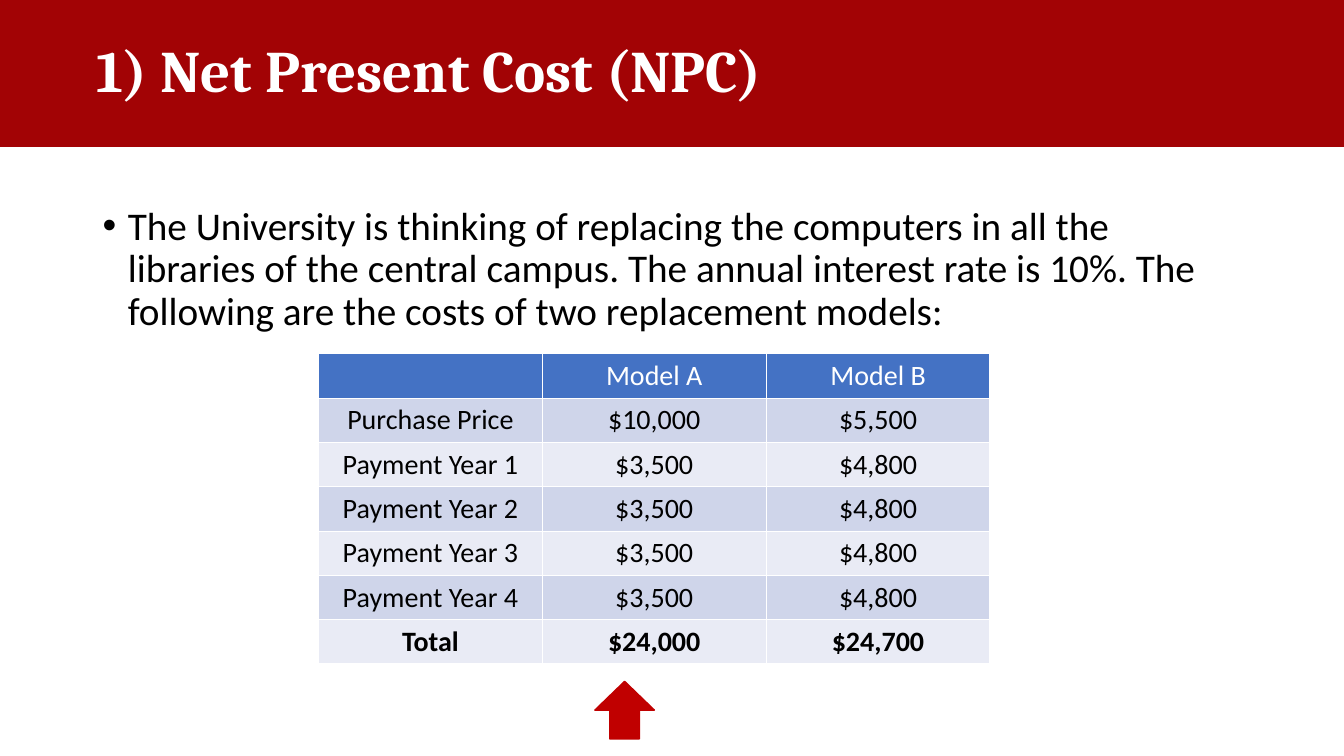
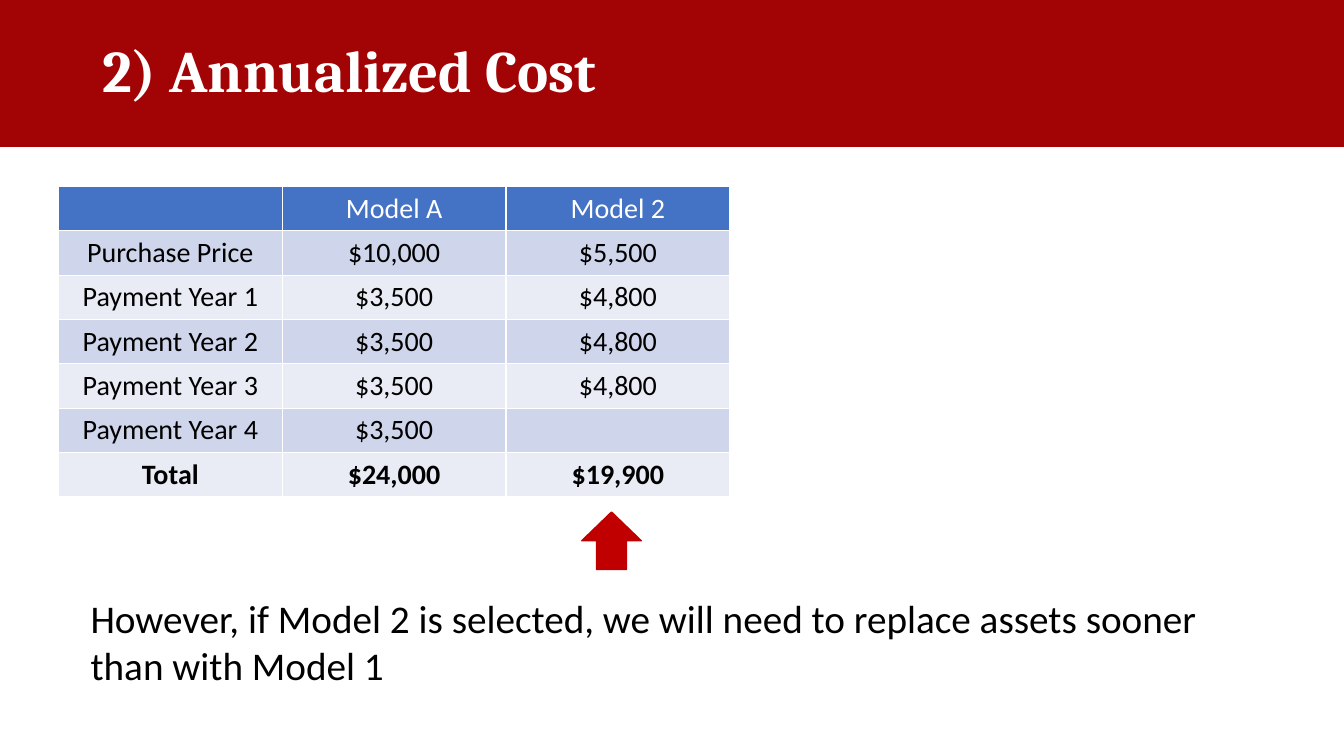
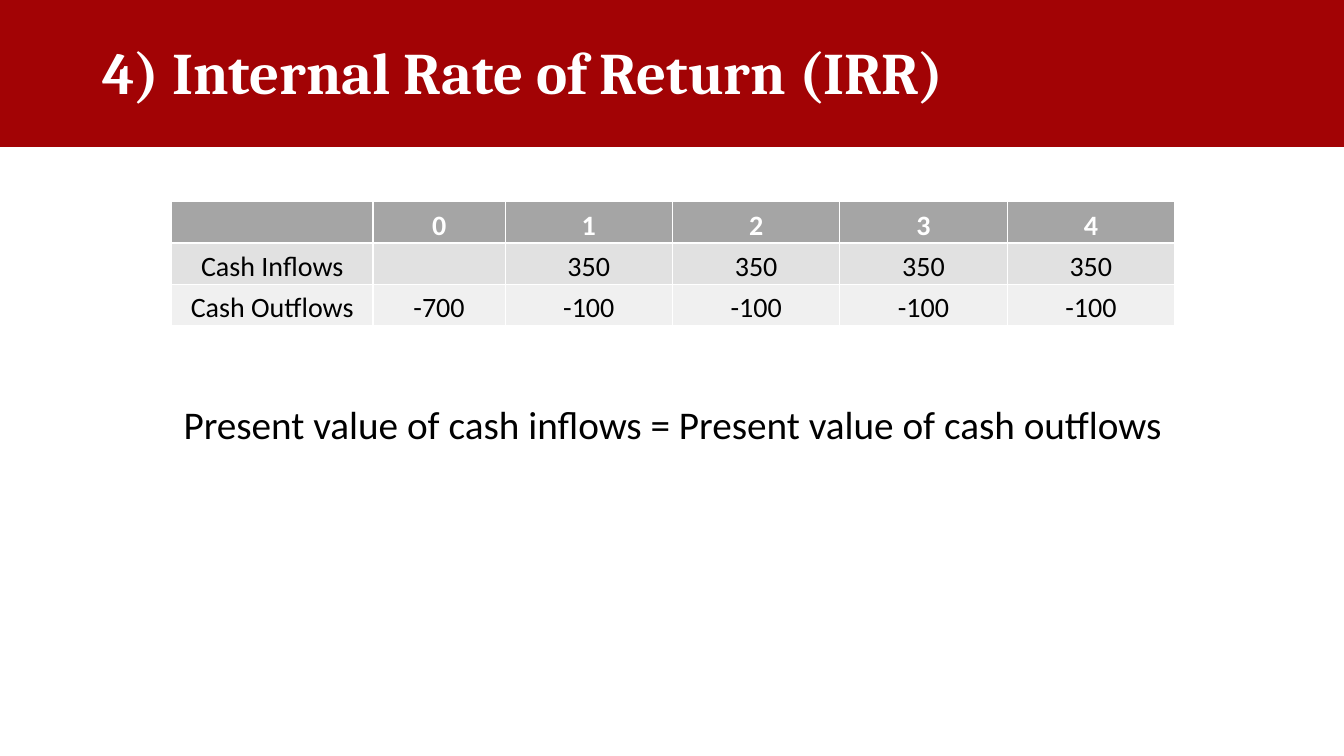
from dataclasses import dataclass, field
from typing import Any, NamedTuple

from lxml import etree
from pptx import Presentation
from pptx.dml.color import RGBColor
from pptx.enum.shapes import MSO_SHAPE
from pptx.enum.text import MSO_ANCHOR, PP_ALIGN
from pptx.oxml.ns import qn
from pptx.slide import Slide
from pptx.util import Inches, Pt

RECTANGLE, UP_ARROW = MSO_SHAPE.RECTANGLE, MSO_SHAPE.UP_ARROW
TOP, MIDDLE, BOTTOM = MSO_ANCHOR.TOP, MSO_ANCHOR.MIDDLE, MSO_ANCHOR.BOTTOM
LEFT, CENTER = PP_ALIGN.LEFT, PP_ALIGN.CENTER


class TableColors(NamedTuple):
    header: str
    odd: str
    even: str


@dataclass(frozen=True)
class Theme:
    band: str = "A20305"
    arrow: str = "C00000"
    light: str = "FFFFFF"
    dark: str = "000000"
    blue: TableColors = TableColors("4472C4", "CFD5EA", "E9EBF5")
    gray: TableColors = TableColors("A5A5A5", "E1E1E1", "F0F0F0")
    title_font: str = "Cambria"
    body_font: str = "Calibri"
    title_size: int = 42
    body_size: int = 28
    table_size: int = 20


THEME = Theme()
SLIDE_WIDTH, SLIDE_HEIGHT = 13.33, 7.5
BAND_HEIGHT = 1.45
TEXT_LEFT, TEXT_WIDTH = 0.92, 11.5


class Frame(NamedTuple):
    left: float
    top: float
    width: float
    height: float

    def lengths(self) -> list[int]:
        return [Inches(value) for value in self]


class TextStyle(NamedTuple):
    font: str
    size: int
    color: str
    bold: bool = False


TITLE_STYLE = TextStyle(THEME.title_font, THEME.title_size, THEME.light, True)
BODY_STYLE = TextStyle(THEME.body_font, THEME.body_size, THEME.dark)
TITLE_SPACING = {"line_spacing": 0.9}
BODY_SPACING = {"line_spacing": 0.9, "space_before": Pt(10)}


@dataclass(frozen=True)
class TextBlock:
    text: str
    frame: Frame
    style: TextStyle = BODY_STYLE
    anchor: MSO_ANCHOR = TOP
    paragraph: dict[str, Any] = field(default_factory=dict)
    margin: float = 0
    hanging: float = 0
    bullet: str = ""


@dataclass(frozen=True)
class TableBlock:
    left: float
    top: float
    widths: list[float]
    row_height: float
    rows: list[list[str]]
    colors: TableColors
    bold_header: bool = False
    bold_total: bool = False
    cell: dict[str, Any] = field(default_factory=dict)


def apply_format(target: Any, values: dict[str, Any]) -> None:
    for name, value in values.items():
        setattr(target, name, value)


def write_span(para: Any, text: str, style: TextStyle) -> None:
    span = para.add_run()
    span.text = text
    apply_format(span.font, {"name": style.font, "size": Pt(style.size), "bold": style.bold})
    span.font.color.rgb = RGBColor.from_string(style.color)


def add_text(page: Slide, block: TextBlock) -> None:
    box = page.shapes.add_textbox(*block.frame.lengths())
    apply_format(box.text_frame, {"word_wrap": True, "vertical_anchor": block.anchor})
    para = box.text_frame.paragraphs[0]
    apply_format(para, block.paragraph)
    write_span(para, block.text, block.style)
    properties = para._p.get_or_add_pPr()
    properties.set("marL", str(Inches(block.margin)))
    properties.set("indent", str(-Inches(block.hanging)))
    if block.bullet:
        etree.SubElement(properties, qn("a:buFont"), typeface="Arial")
        etree.SubElement(properties, qn("a:buChar"), char=block.bullet)


def add_solid(page: Slide, kind: MSO_SHAPE, frame: Frame, color: str) -> None:
    """Draw a shape whose line has the colour of its fill."""
    shape = page.shapes.add_shape(kind, *frame.lengths())
    shape.shadow.inherit = False
    shape.fill.solid()
    shape.fill.fore_color.rgb = shape.line.color.rgb = RGBColor.from_string(color)
    shape.line.width = Pt(1)


def add_arrow(page: Slide, left: float, top: float) -> None:
    add_solid(page, UP_ARROW, Frame(left, top, 0.59, 0.57), THEME.arrow)


def add_table(page: Slide, block: TableBlock) -> None:
    """Fill a table; its built-in style supplies the white borders."""
    frame = Frame(block.left, block.top, sum(block.widths), block.row_height * len(block.rows))
    table = page.shapes.add_table(len(block.rows), len(block.widths), *frame.lengths()).table
    for column, width in zip(table.columns, block.widths):
        column.width = Inches(width)
    for index, texts in enumerate(block.rows):
        table.rows[index].height = Inches(block.row_height)
        is_header, is_last = index == 0, index == len(block.rows) - 1
        stripe = block.colors.odd if index % 2 else block.colors.even
        style = TextStyle(
            THEME.body_font,
            THEME.table_size,
            THEME.light if is_header else THEME.dark,
            (is_header and block.bold_header) or (is_last and block.bold_total),
        )
        for cell, text in zip(table.rows[index].cells, texts):
            apply_format(cell, block.cell)
            cell.fill.solid()
            cell.fill.fore_color.rgb = RGBColor.from_string(
                block.colors.header if is_header else stripe
            )
            para = cell.text_frame.paragraphs[0]
            para.alignment = CENTER
            if text:
                write_span(para, text, style)


def cost_table(left: float, top: float, second_model: str, last_payment: str, total: str) -> TableBlock:
    payments = ["$4,800"] * 3 + [last_payment]
    rows = [["", "Model A", second_model], ["Purchase Price", "$10,000", "$5,500"]]
    rows += [[f"Payment Year {year}", "$3,500", cost] for year, cost in enumerate(payments, 1)]
    rows.append(["Total", "$24,000", total])
    return TableBlock(left, top, [2.22] * 3, 0.44, rows, THEME.blue, bold_total=True)


def add_page(deck: Any, title: str, left: float = TEXT_LEFT, top: float = 0) -> Slide:
    page = deck.slides.add_slide(deck.slide_layouts[6])
    add_solid(page, RECTANGLE, Frame(0, 0, SLIDE_WIDTH, BAND_HEIGHT), THEME.band)
    frame = Frame(left, top, TEXT_WIDTH, BAND_HEIGHT)
    add_text(page, TextBlock(title, frame, TITLE_STYLE, MIDDLE, TITLE_SPACING))
    return page


def add_present_cost(deck: Any) -> None:
    page = add_page(deck, "1) Net Present Cost (NPC)", left=0.86)
    add_text(page, TextBlock(
        "The University is thinking of replacing the computers in all the libraries of the "
        "central campus. The annual interest rate is 10%. The following are the costs of two "
        "replacement models:",
        Frame(TEXT_LEFT, 2, TEXT_WIDTH, 4.76),
        paragraph=BODY_SPACING, margin=0.25, hanging=0.25, bullet="•",
    ))
    add_table(page, cost_table(3.16, 3.51, "Model B", "$4,800", "$24,700"))
    add_arrow(page, 5.9, 6.76)


def add_annualized_cost(deck: Any) -> None:
    page = add_page(deck, "2) Annualized Cost")
    add_table(page, cost_table(0.58, 1.85, "Model 2", "", "$19,900"))
    add_arrow(page, 5.77, 5.08)
    add_text(page, TextBlock(
        "However, if Model 2 is selected, we will need to replace assets sooner than with Model 1",
        Frame(0.3, 5.85, 12.42, 1.04),
        paragraph={"level": 1, "alignment": LEFT}, margin=0.5,
    ))


def add_rate_of_return(deck: Any) -> None:
    page = add_page(deck, "4) Internal Rate of Return (IRR)", top=0.02)
    add_text(page, TextBlock(
        "Present value of cash inflows = Present value of cash outflows",
        Frame(TEXT_LEFT, 3.97, TEXT_WIDTH, 2.78),
        paragraph={**BODY_SPACING, "alignment": CENTER},
    ))
    rows = [
        ["", *(str(year) for year in range(5))],
        ["Cash Inflows", "", *["350"] * 4],
        ["Cash Outflows", "-700", *["-100"] * 4],
    ]
    inset = Inches(0.01)
    add_table(page, TableBlock(
        1.7, 2, [2, 1.31, *[1.66] * 4], 0.41, rows, THEME.gray, bold_header=True,
        cell={"vertical_anchor": BOTTOM, "margin_left": inset, "margin_top": inset,
              "margin_right": inset, "margin_bottom": 0},
    ))


def main() -> None:
    deck = Presentation()
    deck.slide_width, deck.slide_height = Inches(SLIDE_WIDTH), Inches(SLIDE_HEIGHT)
    add_present_cost(deck)
    add_annualized_cost(deck)
    add_rate_of_return(deck)
    deck.save("out.pptx")


if __name__ == "__main__":
    main()
